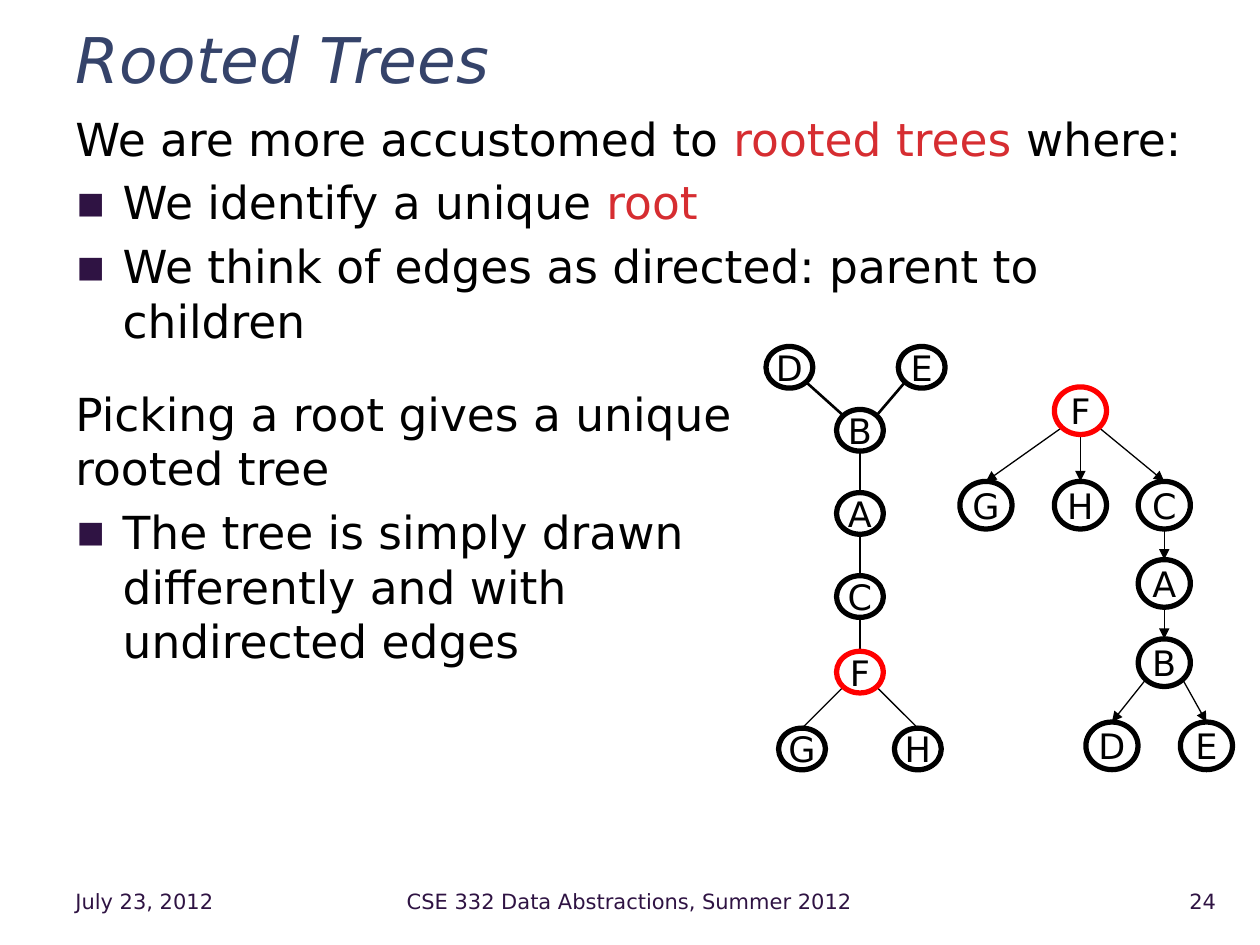
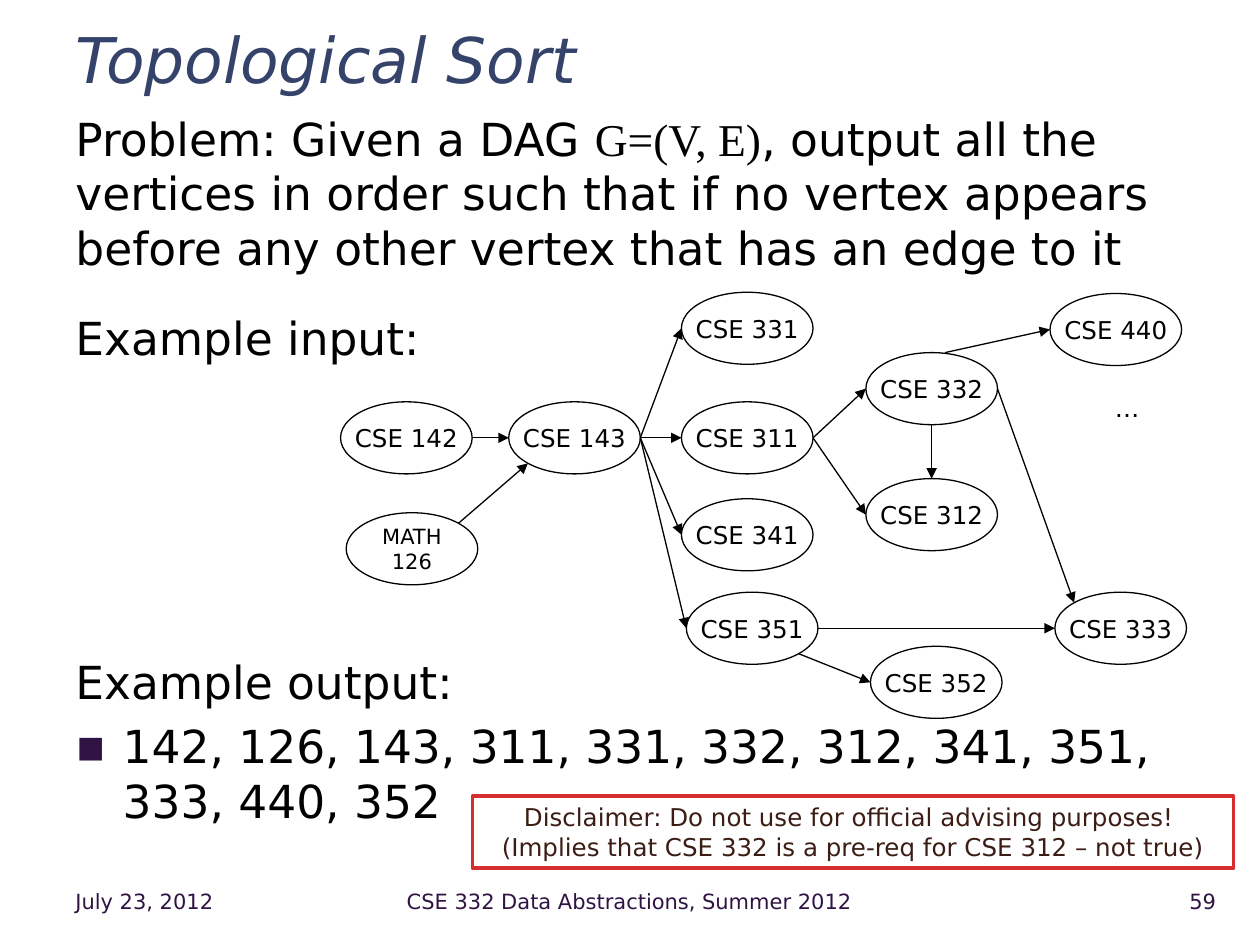
from math import cos, radians, sin

from lxml.etree import SubElement
from pptx import Presentation
from pptx.dml.color import RGBColor
from pptx.enum.shapes import MSO_CONNECTOR, MSO_SHAPE
from pptx.enum.text import MSO_ANCHOR, PP_ALIGN
from pptx.oxml.ns import qn
from pptx.util import Pt

COLORS = {
    "ink": "000000", "title": "35436A", "foot": "2F1343", "mark": "D62D31",
    "root": "FF0000", "note": "3B1D15", "paper": "FFFFFF",
}
SANS, SERIF = "DejaVu Sans", "Times New Roman"
LEFT, MID, RIGHT = PP_ALIGN.LEFT, PP_ALIGN.CENTER, PP_ALIGN.RIGHT
# Angles of the eight points on an oval, clockwise from the right
SITES = {s: 45 * i for i, s in enumerate("e se s sw w nw n ne".split())}
GAP = 5.2


def rgb(name):
    return RGBColor.from_string(COLORS[name])


class Deck:
    def __init__(self):
        self.prs = Presentation()
        self.prs.slide_width, self.prs.slide_height = Pt(720), Pt(540)
        self.slide = None

    def page(self, title, number):
        """Start a slide with its title and footer."""
        self.slide = self.prs.slides.add_slide(self.prs.slide_layouts[6])
        head = self.box(36, 12.2, 666, 38.2)
        par = head.paragraphs[0]
        par.line_spacing = 1.1
        self.run(par, title, 36, "title").font.italic = True
        feet = [
            (36, 126, LEFT, "July 23, 2012"),
            (167, 385.2, MID, "CSE 332 Data Abstractions, Summer 2012"),
            (640, 62, RIGHT, number),
        ]
        for x, w, align, text in feet:
            par = self.box(x, 500.4, w, 28.8).paragraphs[0]
            par.alignment = align
            self.run(par, text, 12, "foot")

    def box(self, x, y, w, h, anchor=MSO_ANCHOR.MIDDLE):
        frame = self.slide.shapes.add_textbox(Pt(x), Pt(y), Pt(w), Pt(h)).text_frame
        frame.word_wrap = True
        frame.vertical_anchor = anchor
        return frame

    def run(self, par, text, size, color="ink", face=SANS):
        """Add text, with a line break at each newline."""
        for i, line in enumerate(text.split("\n")):
            if i:
                par.add_line_break()
            run = par.add_run()
            run.text = line
            font = run.font
            font.size, font.name = Pt(size), face
            font.color.rgb = rgb(color)
        return run

    def bullet(self, par):
        props = par._p.get_or_add_pPr()
        props.set("marL", str(Pt(27)))
        props.set("indent", str(-Pt(27)))
        tint = SubElement(props, qn("a:buClr"))
        SubElement(tint, qn("a:srgbClr")).set("val", COLORS["foot"])
        SubElement(props, qn("a:buFont")).set("typeface", SANS)
        SubElement(props, qn("a:buChar")).set("char", "▪")

    def body(self, items):
        """Each item: bullet or not, space before, runs."""
        frame = self.box(36, 59.8, 666, 432, MSO_ANCHOR.TOP)
        for i, (dot, space, runs) in enumerate(items):
            par = frame.add_paragraph() if i else frame.paragraphs[0]
            if dot:
                self.bullet(par)
            par.space_before = Pt(space)
            for text, *style in runs:
                self.run(par, text, 26, *style)

    def shape(self, kind, x, y, w, h, line, width):
        shape = self.slide.shapes.add_shape(kind, Pt(x), Pt(y), Pt(w), Pt(h))
        shape.shadow.inherit = False
        shape.line.color.rgb = rgb(line)
        shape.line.width = Pt(width)
        return shape

    def node(self, label, spot, dims, size, line="ink", width=0.75):
        (x, y), (w, h) = spot, dims
        oval = self.shape(MSO_SHAPE.OVAL, x - w / 2, y - h / 2, w, h, line, width)
        oval.fill.background()
        frame = oval.text_frame
        frame.word_wrap = False
        frame.vertical_anchor = MSO_ANCHOR.MIDDLE
        for i, text in enumerate(label.split("\n")):
            par = frame.add_paragraph() if i else frame.paragraphs[0]
            par.alignment = MID
            self.run(par, text, size)

    def link(self, start, end, width=0.75, arrow=True):
        line = self.slide.shapes.add_connector(
            MSO_CONNECTOR.STRAIGHT, *[Pt(v) for v in (*start, *end)])
        line.line.color.rgb = rgb("ink")
        line.line.width = Pt(width)
        if arrow:
            SubElement(line.line._get_or_add_ln(), qn("a:tailEnd")).set("type", "triangle")
        SubElement(line._element.spPr, qn("a:effectLst"))

    def graph(self, spots, dims, edges, arrow=True):
        """Link nodes; an edge is: from, site, to, site, then width and shift."""
        def edge_point(name, site):
            (x, y), (w, h), turn = spots[name], dims, radians(SITES[site])
            return x + w / 2 * cos(turn), y + h / 2 * sin(turn)

        for a, out, b, into, *more in edges:
            width, shift = more or (0.75, 0)
            x, y = edge_point(a, out)
            self.link((x + shift, y), edge_point(b, into), width, arrow)

    def tree(self, spots, dims, edges, arrow):
        self.graph(spots, dims, edges, arrow)
        for name, spot in spots.items():
            self.node(name, spot, dims, 20, "root" if name == "F" else "ink", 3)


def trees(deck):
    deck.page("Rooted Trees", "24")
    deck.body([
        (False, 0, [("We are more accustomed to ",), ("rooted trees ", "mark"), ("where:",)]),
        (True, GAP, [("We identify a unique ",), ("root", "mark")]),
        (True, GAP, [("We think of edges as directed: parent to children",)]),
        (False, 22, [("Picking a root gives a unique \nrooted tree",)]),
        (True, GAP, [("The tree is simply drawn \ndifferently and with \nundirected edges",)]),
    ])

    # Tree without directions
    mid = 491.4
    spots = {
        "D": (451.1, 209.9), "E": (526.7, 209.9), "B": (mid, 245.9),
        "A": (mid, 293.4), "C": (mid, 340.9), "F": (mid, 384.1),
        "G": (458.3, 428), "H": (524.5, 428),
    }
    edges = [
        ("B", "nw", "D", "se", 1.5, 0), ("B", "ne", "E", "sw", 1.5, 0),
        ("B", "s", "A", "n"), ("A", "s", "C", "n"), ("C", "s", "F", "n"),
        ("F", "sw", "G", "n"), ("F", "se", "H", "n"),
    ]
    deck.tree(spots, (26.8, 23.8), edges, False)

    # Same tree, rooted at F
    mid, side, row = 617.4, 665.3, 288.7
    spots = {
        "F": (mid, 234.7), "G": (563.4, row), "H": (mid, row), "C": (side, row),
        "A": (side, 333.4), "B": (side, 378.7),
        "D": (635.4, 426.2), "E": (689.4, 426.2),
    }
    edges = [
        ("F", "sw", "G", "n"), ("F", "s", "H", "n"), ("F", "se", "C", "n"),
        ("C", "s", "A", "n"), ("A", "s", "B", "n"),
        ("B", "sw", "D", "n"), ("B", "se", "E", "n"),
    ]
    deck.tree(spots, (29.8, 27.2), edges, True)


def sort(deck):
    deck.page("Topological Sort", "59")
    deck.body([
        (False, 0, [
            ("Problem: Given a DAG ",), ("G=(V, E)", "ink", SERIF),
            (", output all the vertices in order such that if no vertex appears "
             "before any other vertex that has an edge to it",)]),
        (False, 20.3, [("Example input:",)]),
        (False, 165.6, [("Example output:",)]),
        (True, GAP, [("142, 126, 143, 311, 331, 332, 312, 341, 351, 333, 440, 352",)]),
    ])

    # Course graph
    dims = (75.2, 41.2)
    row, col = 250.2, 427
    spots = {
        "142": (232.2, row), "143": (328.3, row), "126": (235.4, 313.6),
        "331": (col, 187.6), "311": (col, row), "341": (col, 305.6),
        "351": (429.8, 359), "332": (532.4, 222.1), "312": (532.4, 294.1),
        "352": (535, 389.9), "333": (640.4, 359), "440": (637.6, 188.3),
    }
    edges = [("143", "e", to, "w") for to in ("331", "311", "341", "351")]
    edges += [("311", "e", to, "w") for to in ("332", "312")]
    edges += [
        ("142", "e", "143", "w"), ("126", "ne", "143", "sw"),
        ("332", "s", "312", "n"), ("332", "n", "440", "w", 0.75, 7.6),
        ("332", "e", "333", "nw"), ("351", "e", "333", "w"),
        ("351", "se", "352", "w"),
    ]
    deck.graph(spots, dims, edges)
    for name, spot in spots.items():
        math = name == "126"
        deck.node("MATH\n126" if math else f"CSE {name}", spot, dims, 12 if math else 14)
    deck.run(deck.box(630, 221, 32.4, 24.5).paragraphs[0], "…", 14)

    # Disclaimer
    note = deck.shape(MSO_SHAPE.RECTANGLE, 270, 455, 434.9, 41.2, "mark", 2)
    note.fill.solid()
    note.fill.fore_color.rgb = rgb("paper")
    frame = note.text_frame
    frame.word_wrap = True
    frame.vertical_anchor = MSO_ANCHOR.TOP
    par = frame.paragraphs[0]
    par.alignment = MID
    deck.run(par, "Disclaimer: Do not use for official advising purposes! \n"
             "(Implies that CSE 332 is a pre-req for CSE 312 – not true)", 14, "note")


def main():
    deck = Deck()
    trees(deck)
    sort(deck)
    deck.prs.save("out.pptx")


if __name__ == "__main__":
    main()
